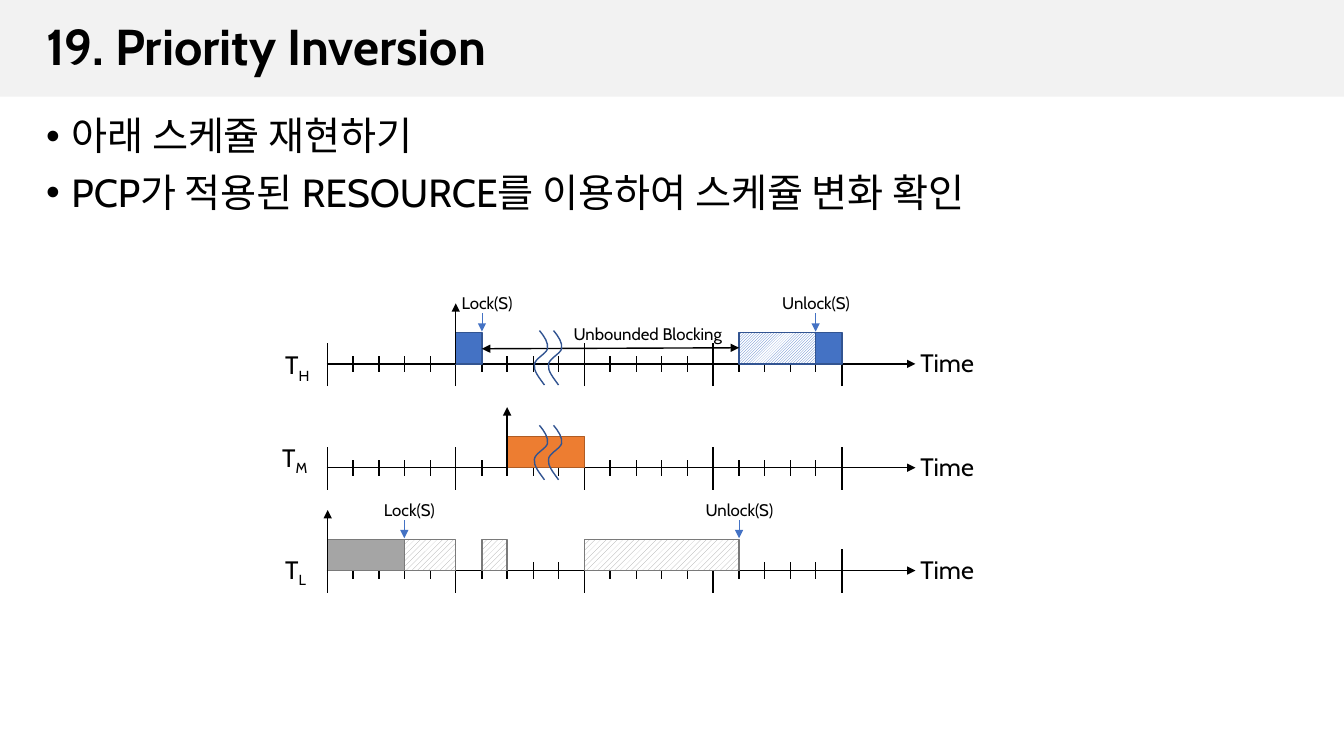
from dataclasses import dataclass

from lxml import etree
from pptx import Presentation
from pptx import util as u
from pptx.dml.color import RGBColor
from pptx.enum import dml, shapes, text
from pptx.oxml.ns import qn

EMU_PER_PX = 9144  # 100 px to the inch


@dataclass(frozen=True)
class Theme:
    font: str = "Cabin"
    ink: str = "000000"
    paper: str = "FFFFFF"
    band: str = "F2F2F2"
    blue: str = "4472C4"
    blue_edge: str = "325491"
    orange: str = "ED7D31"
    orange_edge: str = "AF5C24"
    gray: str = "A5A5A5"
    gray_edge: str = "7A7A7A"
    title_size: int = 36
    body_size: int = 28
    axis_size: int = 18
    note_size: int = 12


THEME = Theme()
WIDE = dml.MSO_PATTERN.WIDE_UPWARD_DIAGONAL
DARK = dml.MSO_PATTERN.DARK_UPWARD_DIAGONAL

# Time axis: 20 ticks, every fifth one long
AXIS_LEFT, AXIS_RIGHT, TICK_STEP, TICK_COUNT = 324.6, 908, 25.5, 20
BLOCK_HEIGHT = 31
HIGH, MIDDLE, LOW = 361, 464, 566  # baselines of the three tasks

# Baseline, label left, label top, label width, subscript, release tick
TASKS = [
    (HIGH, 273, 342, 48, "H", 5),
    (MIDDLE, 270, 434, 49, "M", 7),
    (LOW, 273, 545, 49, "L", 0),
]

# Baseline, first tick, last tick, fill, edge, pattern
BLOCKS = [
    (HIGH, 5, 6, THEME.blue, THEME.blue_edge, None),
    (HIGH, 16, 19, THEME.blue, THEME.blue_edge, DARK),
    (HIGH, 19, 20, THEME.blue, THEME.blue_edge, None),
    (MIDDLE, 7, 10, THEME.orange, THEME.orange_edge, None),
    (LOW, 0, 3, THEME.gray, THEME.gray_edge, None),
    (LOW, 3, 5, THEME.gray, THEME.gray_edge, WIDE),
    (LOW, 6, 7, THEME.gray, THEME.gray_edge, WIDE),
    (LOW, 10, 16, THEME.gray, THEME.gray_edge, WIDE),
]

# Baseline, tick, wording, label offset to the left, label width
EVENTS = [
    (HIGH, 6, "Lock(S)", 30, 78),
    (HIGH, 19, "Unlock(S)", 43, 94),
    (LOW, 3, "Lock(S)", 30, 78),
    (LOW, 16, "Unlock(S)", 43, 94),
]

# Start and three Bézier curves of a break mark, from its top left
WAVE = [(5, 0), (10, 6), (14, 12), (13, 18), (12, 23), (0, 28),
        (0, 34), (-1, 40), (5, 47), (10, 54)]


def px(*values):
    lengths = [u.Emu(round(value * EMU_PER_PX)) for value in values]
    return lengths if len(lengths) > 1 else lengths[0]


def color(code):
    return RGBColor.from_string(code)


def tick_x(tick):
    return round(AXIS_LEFT + TICK_STEP * tick)


def apply(target, values):
    for name, value in values.items():
        setattr(target, name, value)


def add_span(para, wording, size, bold=False, baseline=None):
    span = para.add_run()
    span.text = wording
    apply(span.font, {"name": THEME.font, "size": u.Pt(size), "bold": bold})
    span.font.color.rgb = color(THEME.ink)
    props = span._r.get_or_add_rPr()
    etree.SubElement(props, qn("a:ea"), typeface=THEME.font)
    if baseline:
        props.set("baseline", str(baseline))


def add_box(page, area, wrap=False, anchor=text.MSO_ANCHOR.TOP):
    box = page.shapes.add_textbox(*px(*area))
    fit = text.MSO_AUTO_SIZE
    apply(box.text_frame, {
        "word_wrap": wrap,
        "vertical_anchor": anchor,
        "auto_size": fit.NONE if wrap else fit.SHAPE_TO_FIT_TEXT,
    })
    return box.text_frame


def add_label(page, area, wording, size, subscript=""):
    para = add_box(page, area).paragraphs[0]
    add_span(para, wording, size)
    if subscript:
        add_span(para, subscript, size, baseline=-25000)


def add_line(page, start, end, stroke=THEME.ink, width=1, arrows=()):
    line = page.shapes.add_connector(shapes.MSO_CONNECTOR.STRAIGHT, *px(*start, *end))
    line.line.color.rgb = color(stroke)
    line.line.width = u.Pt(width)
    for end_name in arrows:
        etree.SubElement(line.line._get_or_add_ln(), qn(f"a:{end_name}"), type="triangle")
    etree.SubElement(line._element.spPr, qn("a:effectLst"))


def add_block(page, area, fill, edge=None, pattern=None):
    block = page.shapes.add_shape(shapes.MSO_SHAPE.RECTANGLE, *px(*area))
    block.shadow.inherit = False
    if pattern:
        block.fill.patterned()
        block.fill.pattern = pattern
        block.fill.back_color.rgb = color(THEME.paper)
    else:
        block.fill.solid()
    block.fill.fore_color.rgb = color(fill)
    if edge:
        block.line.color.rgb = color(edge)
        block.line.width = u.Pt(1)
    else:
        block.line.fill.background()


def curve_segments(outline):
    """Join each three straight segments into one Bézier curve."""
    segments = list(outline.iter(qn("a:lnTo")))
    track = segments[0].getparent()
    for first in range(0, len(segments), 3):
        curve = etree.SubElement(track, qn("a:cubicBezTo"))
        for segment in segments[first:first + 3]:
            curve.append(segment[0])
            track.remove(segment)


def add_break_mark(page, left, top):
    group = page.shapes.add_group_shape()
    for wave_left in (left, left + 14):
        points = [px(wave_left + x, top + y) for x, y in WAVE]
        builder = group.shapes.build_freeform(*points[0])
        builder.add_line_segments(points[1:], close=False)
        wave = builder.convert_to_shape()
        curve_segments(wave._element)
        wave.shadow.inherit = False
        wave.fill.background()
        wave.line.color.rgb = color(THEME.blue_edge)
        wave.line.width = u.Pt(1)


def add_axis(page, base):
    add_label(page, (903, base - 21, 75, 40), "Time", THEME.axis_size)
    add_line(page, (324, base), (AXIS_RIGHT, base), arrows=["tailEnd"])
    for tick in range(TICK_COUNT + 1):
        below, above = (8, 8) if tick % 5 else (22, 21)
        add_line(page, (tick_x(tick), base + below), (tick_x(tick), base - above))


def add_event(page, base, tick, wording, offset, width):
    x = tick_x(tick)
    add_line(page, (x, base - 50), (x, base - 32), THEME.blue, 0.5, ["tailEnd"])
    add_label(page, (x - offset, base - 75, width, 30), wording, THEME.note_size)


def add_heading(page):
    add_block(page, (0, 0, 1333, 96), THEME.band)
    para = add_box(page, (36, 7, 1260, 83), True, text.MSO_ANCHOR.MIDDLE).paragraphs[0]
    para.line_spacing = 0.9
    add_span(para, "19. Priority Inversion", THEME.title_size, bold=True)


def add_bullets(page, lines):
    frame = add_box(page, (36, 111, 1260, 616), wrap=True)
    for index, wording in enumerate(lines):
        para = frame.add_paragraph() if index else frame.paragraphs[0]
        apply(para, {"line_spacing": 0.9, "space_before": u.Pt(10)})
        props = para._p.get_or_add_pPr()
        props.set("marL", str(px(25)))
        props.set("indent", str(px(-25)))
        etree.SubElement(props, qn("a:buFont"), typeface="Arial")
        etree.SubElement(props, qn("a:buChar"), char="•")
        add_span(para, wording, THEME.body_size)


def main():
    deck = Presentation()
    apply(deck, {"slide_width": px(1333), "slide_height": px(750)})
    page = deck.slides.add_slide(deck.slide_layouts[6])
    add_heading(page)

    # Axes and task names
    for base, left, top, width, subscript, _ in TASKS:
        add_axis(page, base)
        add_label(page, (left, top, width, 40), "T", THEME.axis_size, subscript)

    # Running times and lock events
    for base, first, last, fill, edge, pattern in BLOCKS:
        left = tick_x(first)
        area = (left, base - BLOCK_HEIGHT, tick_x(last) - left, BLOCK_HEIGHT)
        add_block(page, area, fill, edge, pattern)
    for event in EVENTS:
        add_event(page, *event)

    # Blocking span and break marks
    add_line(page, (tick_x(6), 346), (tick_x(16), 345), arrows=["headEnd", "tailEnd"])
    add_label(page, (559, 316, 175, 30), "Unbounded Blocking", THEME.note_size)
    for top in (422, 328):
        add_break_mark(page, 530, top)

    # Release arrows
    for base, *_, release in TASKS:
        x = tick_x(release)
        add_line(page, (x, base), (x, base - 60), arrows=["tailEnd"])

    add_bullets(page, ["아래 스케쥴 재현하기",
                       "PCP가 적용된 RESOURCE를 이용하여 스케쥴 변화 확인"])
    deck.save("out.pptx")


if __name__ == "__main__":
    main()
